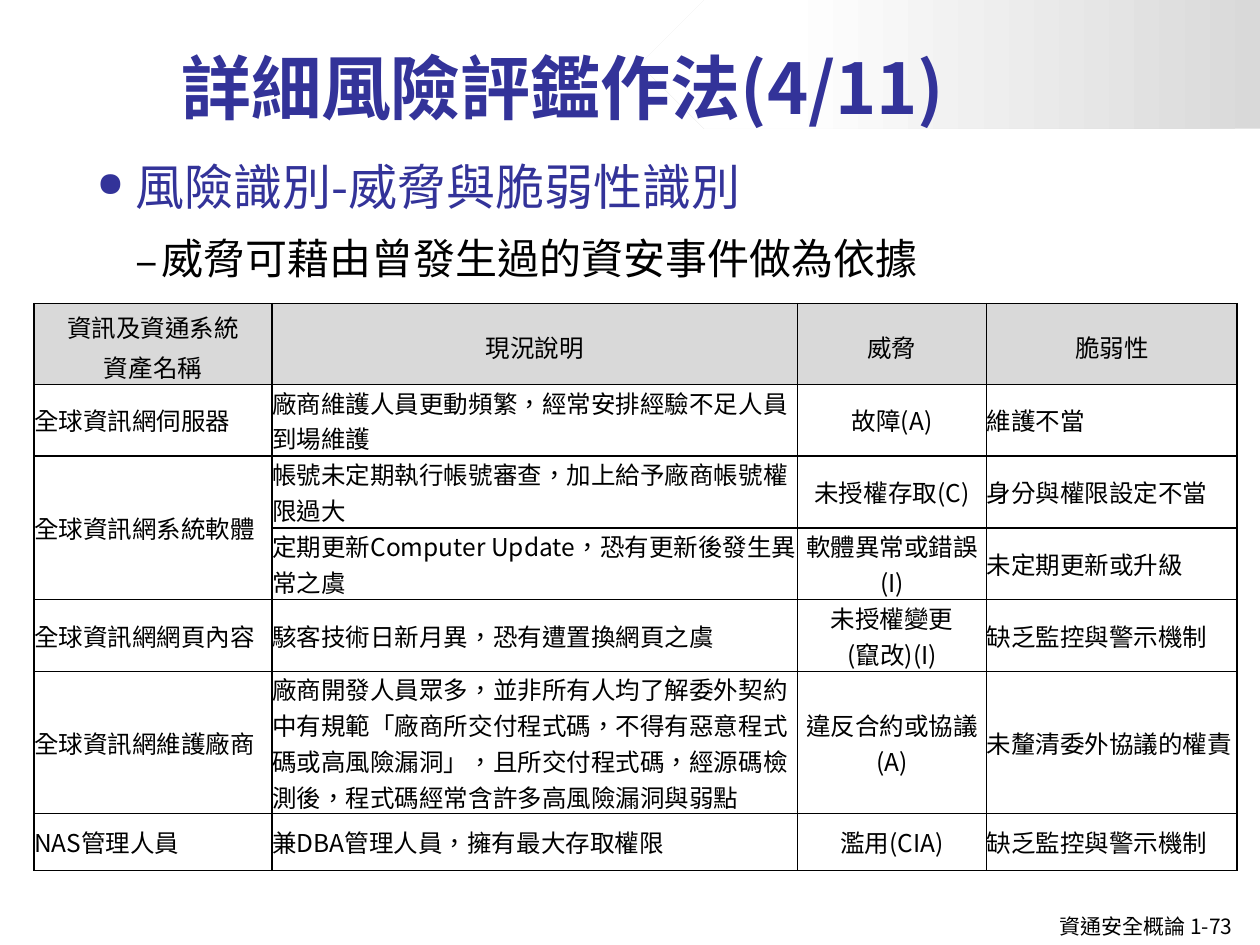
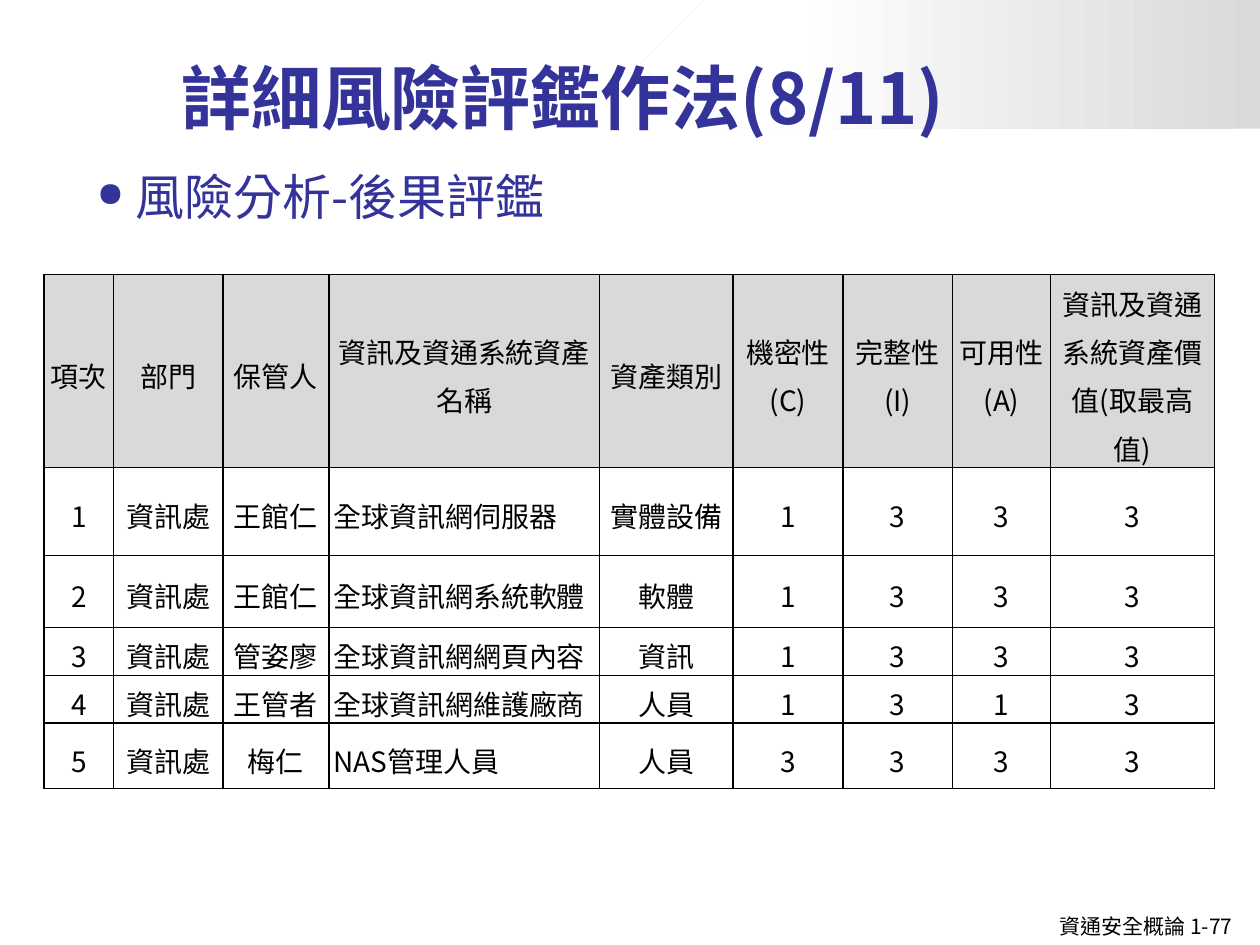
from lxml import etree
from pptx import Presentation
from pptx.dml.color import RGBColor
from pptx.enum.shapes import MSO_SHAPE
from pptx.enum.text import MSO_ANCHOR, MSO_AUTO_SIZE, PP_ALIGN
from pptx.oxml.ns import qn
from pptx.util import Inches, Pt

NAVY = RGBColor(0x33, 0x33, 0x99)
BLACK = RGBColor(0, 0, 0)
WHITE = RGBColor(0xFF, 0xFF, 0xFF)
GREY = RGBColor(0xD9, 0xD9, 0xD9)
TITLE_FONT = "Noto Sans CJK TC"
TEXT_FONT = "Noto Sans CJK SC"
CENTER, LEFT = PP_ALIGN.CENTER, PP_ALIGN.LEFT
MIDDLE, BOTTOM = MSO_ANCHOR.MIDDLE, MSO_ANCHOR.BOTTOM
PENTAGON = MSO_SHAPE.PENTAGON
FIT_SHAPE = MSO_AUTO_SIZE.SHAPE_TO_FIT_TEXT

BULLETS = (("●", 70000, None, 0.31, -0.31, 28, NAVY),
           ("–", 100000, TEXT_FONT, 0.51, -0.2, 24, BLACK))

THREAT_COLUMNS = (1.89, 4.17, 1.5, 1.99)
THREAT_HEIGHTS = (0.64, 0.57, 0.57, 0.57, 0.57, 1.13, 0.45)
THREATS = (
    ("資訊及資通系統\v資產名稱", "現況說明", "威脅", "脆弱性"),
    ("全球資訊網伺服器", "廠商維護人員更動頻繁，經常安排經驗不足人員到場維護",
     "故障(A)", "維護不當"),
    ("全球資訊網系統軟體", "帳號未定期執行帳號審查，加上給予廠商帳號權限過大",
     "未授權存取(C)", "身分與權限設定不當"),
    ("", "定期更新Computer Update，恐有更新後發生異常之虞",
     "軟體異常或錯誤\n(I)", "未定期更新或升級"),
    ("全球資訊網網頁內容", "駭客技術日新月異，恐有遭置換網頁之虞",
     "未授權變更\n(竄改)(I)", "缺乏監控與警示機制"),
    ("全球資訊網維護廠商",
     "廠商開發人員眾多，並非所有人均了解委外契約中有規範「廠商所交付程式碼，"
     "不得有惡意程式碼或高風險漏洞」，且所交付程式碼，經源碼檢測後，"
     "程式碼經常含許多高風險漏洞與弱點",
     "違反合約或協議\n(A)", "未釐清委外協議的權責"),
    ("NAS管理人員", "兼DBA管理人員，擁有最大存取權限", "濫用(CIA)", "缺乏監控與警示機制"),
)

ASSET_COLUMNS = (0.55, 0.87, 0.84, 2.15, 1.06, 0.87, 0.87, 0.78, 1.3)
ASSET_HEIGHTS = (1.53, 0.7, 0.57, 0.38, 0.38, 0.52)
ASSETS = (
    ("項次", "部門", "保管人", "資訊及資通系統資產名稱", "資產類別",
     "機密性(C)", "完整性(I)", "可用性(A)", "資訊及資通系統資產價值(取最高值)"),
    ("1", "資訊處", "王館仁", "全球資訊網伺服器", "實體設備", "1", "3", "3", "3"),
    ("2", "資訊處", "王館仁", "全球資訊網系統軟體", "軟體", "1", "3", "3", "3"),
    ("3", "資訊處", "管姿廖", "全球資訊網網頁內容", "資訊", "1", "3", "3", "3"),
    ("4", "資訊處", "王管者", "全球資訊網維護廠商", "人員", "1", "3", "1", "3"),
    ("5", "資訊處", "梅仁", "NAS管理人員", "人員", "3", "3", "3", "3"),
)


def set_font(paragraph, size, color=BLACK, name=TEXT_FONT, bold=False):
    font = paragraph.font
    font.size = Pt(size)
    font.bold = bold
    font.color.rgb = color
    font.name = name
    defaults = paragraph._p.pPr.find(qn("a:defRPr"))
    defaults.set("lang", "zh-TW")
    etree.SubElement(defaults, qn("a:ea")).set("typeface", name)


def add_text_frame(slide, left, top, width, height):
    box = slide.shapes.add_textbox(Inches(left), Inches(top), Inches(width), Inches(height))
    box.text_frame.word_wrap = True
    return box.text_frame


def add_band(slide):
    band = slide.shapes.add_shape(PENTAGON, Inches(5.08), 0, Inches(4.92), Inches(1.02))
    band.shadow.inherit = False
    band.line.fill.background()
    band.fill.gradient()
    band.fill.gradient_angle = 0
    for stop, position, color in zip(band.fill.gradient_stops, (0, 0.77), (GREY, WHITE)):
        stop.position = position
        stop.color.rgb = color
    band._element.spPr.find(qn("a:xfrm")).set("flipH", "1")


def add_title(slide, part, top):
    frame = add_text_frame(slide, 1.34, top, 8.16, 1.02)
    frame.vertical_anchor = BOTTOM
    frame.text = f"詳細風險評鑑作法({part}/11)"
    set_font(frame.paragraphs[0], 40, NAVY, TITLE_FONT, True)


def add_footer(slide, page):
    frame = add_text_frame(slide, 8.31, 7.2, 1.69, 0.3)
    frame.word_wrap = False
    frame.auto_size = FIT_SHAPE
    frame.text = f"資通安全概論 1-{page}"
    set_font(frame.paragraphs[0], 12)


def add_outline(slide, top, width, height, points):
    frame = add_text_frame(slide, 0.67, top, width, height)
    frame.text = "\n".join(points)
    for level, paragraph in enumerate(frame.paragraphs):
        mark, scale, mark_font, margin, indent, size, color = BULLETS[level]
        paragraph.level = level
        paragraph.line_spacing = 1.2
        paragraph.space_after = Pt(2)
        if level:
            paragraph.space_before = Pt(2)
        properties = paragraph._p.get_or_add_pPr()
        properties.set("marL", str(Inches(margin)))
        properties.set("indent", str(Inches(indent)))
        etree.SubElement(properties, qn("a:buSzPct")).set("val", str(scale))
        if mark_font:
            etree.SubElement(properties, qn("a:buFont")).set("typeface", mark_font)
        etree.SubElement(properties, qn("a:buChar")).set("char", mark)
        set_font(paragraph, size, color)


def add_borders(cell):
    properties = cell._tc.get_or_add_tcPr()
    for side in ("a:lnL", "a:lnR", "a:lnT", "a:lnB"):
        border = etree.SubElement(properties, qn(side), w=str(Pt(1)))
        fill = etree.SubElement(border, qn("a:solidFill"))
        etree.SubElement(fill, qn("a:srgbClr"), val=str(BLACK))


def format_cell(cell, text, size, inset, align, spacing, header):
    cell.text = text
    cell.vertical_anchor = MIDDLE
    cell.margin_left = cell.margin_right = Inches(inset)
    cell.margin_top = cell.margin_bottom = 0
    for paragraph in cell.text_frame.paragraphs:
        paragraph.alignment = align
        paragraph.line_spacing = spacing
        set_font(paragraph, size)
    add_borders(cell)
    if header:
        cell.fill.solid()
        cell.fill.fore_color.rgb = GREY
    else:
        cell.fill.background()


def add_grid(slide, left, top, widths, heights, records, size, inset,
             left_columns, header_spacing, body_spacing):
    table = slide.shapes.add_table(
        len(heights), len(widths), Inches(left), Inches(top),
        Inches(sum(widths)), Inches(sum(heights))).table
    for column, width in zip(table.columns, widths):
        column.width = Inches(width)
    for row, height in zip(table.rows, heights):
        row.height = Inches(height)
    for r, record in enumerate(records):
        header = r == 0
        spacing = header_spacing if header else body_spacing
        for c, text in enumerate(record):
            align = LEFT if c in left_columns and not header else CENTER
            format_cell(table.cell(r, c), text, size, inset, align, spacing, header)
    return table


def add_page(deck, part, title_top, page):
    slide = deck.slides.add_slide(deck.slide_layouts[6])
    add_footer(slide, page)
    add_band(slide)
    add_title(slide, part, title_top)
    return slide


def main():
    deck = Presentation()
    deck.slide_width, deck.slide_height = Inches(10), Inches(7.5)

    threat_page = add_page(deck, 4, 0.05, 73)
    add_outline(threat_page, 1.1, 9.15, 5.72,
                ("風險識別-威脅與脆弱性識別", "威脅可藉由曾發生過的資安事件做為依據"))
    threats = add_grid(threat_page, 0.27, 2.41, THREAT_COLUMNS, THREAT_HEIGHTS,
                       THREATS, 14, 0, (0, 1, 3), 1.14, 1.0)
    threats.cell(2, 0).merge(threats.cell(3, 0))

    asset_page = add_page(deck, 8, 0.13, 77)
    add_outline(asset_page, 1.18, 8.83, 0.59, ("風險分析-後果評鑑",))
    add_grid(asset_page, 0.35, 2.18, ASSET_COLUMNS, ASSET_HEIGHTS,
             ASSETS, 16, 0.04, (3,), 1.2, 1.2)

    deck.save("out.pptx")


if __name__ == "__main__":
    main()
